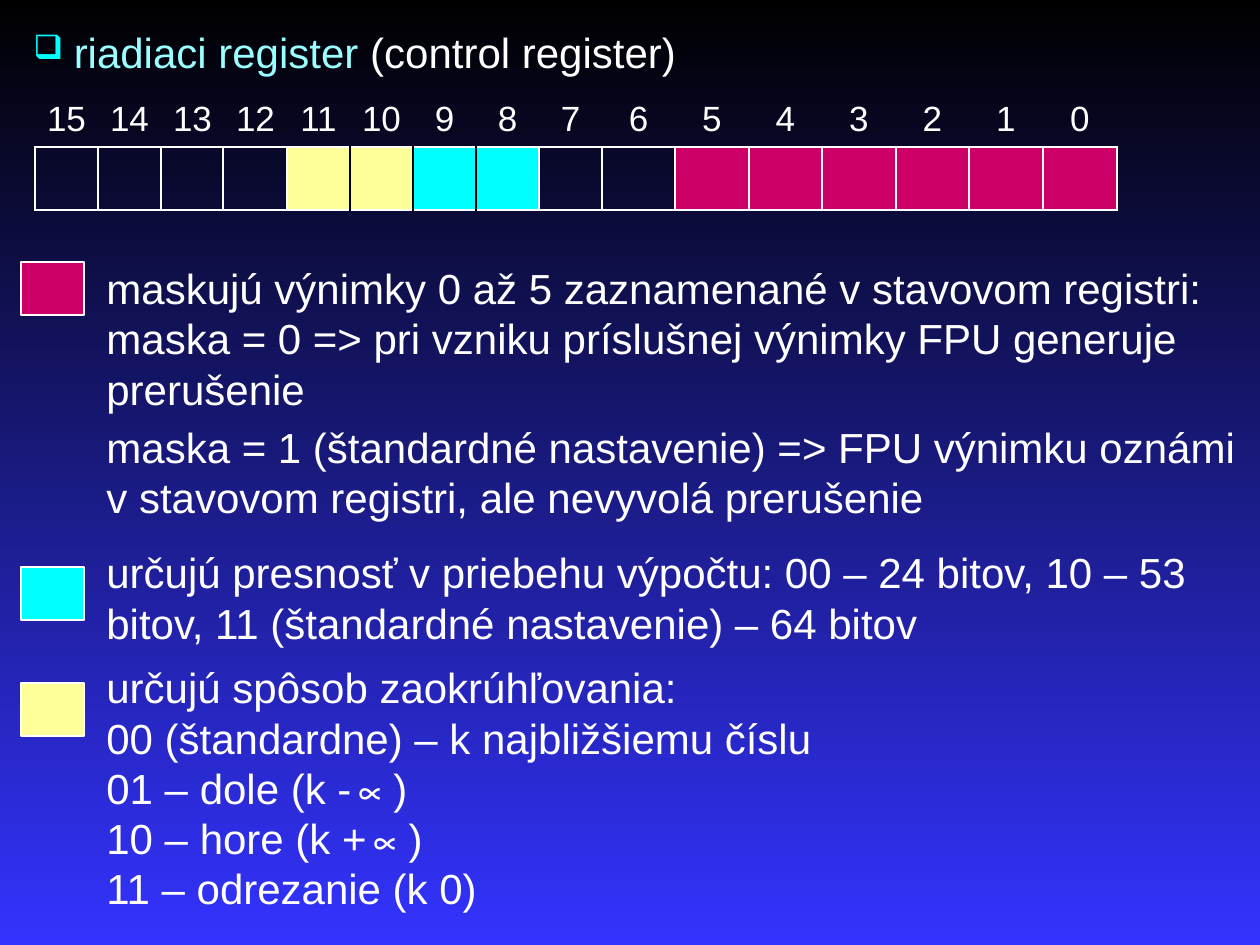
"""Build the slide that explains the FPU control register."""
import pptx
import pptx.dml.color
import pptx.enum.shapes
import pptx.enum.text
import pptx.oxml
import pptx.oxml.ns
import pptx.util

COLORS = {
    "white": "FFFFFF", "black": "000000", "blue": "3333FF", "pale": "99FFFF",
    "cyan": "00FFFF", "yellow": "FFFF99", "magenta": "CC0066",
}
EMU_PER_PX = 914400 / 126
NAMESPACE = pptx.oxml.ns.nsdecls("a")
FIELD_COLORS = {
    **dict.fromkeys((10, 11), "yellow"),
    **dict.fromkeys((8, 9), "cyan"),
    **dict.fromkeys(range(6), "magenta"),
}
BLACK_EDGES = {"L": (10, 9, 8), "R": (11, 10, 9)}
LEGEND = [
    ("yellow", 683, 651, 1166, 272, [
        "určujú spôsob zaokrúhľovania:",
        "00 (štandardne) – k najbližšiemu číslu",
        "01 – dole (k -∝)",
        "10 – hore (k +∝)",
        "11 – odrezanie (k 0)",
    ], 0),
    ("cyan", 567, 536, 1124, 118, [
        "určujú presnosť v priebehu výpočtu: 00 – 24 bitov, 10 – 53 bitov, "
        "11 (štandardné nastavenie) – 64 bitov",
    ], 0),
    ("magenta", 262, 252, 1166, 280, [
        "maskujú výnimky 0 až 5 zaznamenané v stavovom registri: "
        "maska = 0 => pri vzniku príslušnej výnimky FPU generuje prerušenie",
        "maska = 1 (štandardné nastavenie) => FPU výnimku oznámi "
        "v stavovom registri, ale nevyvolá prerušenie",
    ], 4.8),
]


def px(*lengths):
    """Turn pixel lengths into a list of EMU lengths."""
    return [pptx.util.Emu(round(length * EMU_PER_PX)) for length in lengths]


def rgb(name):
    """Return a named colour."""
    return pptx.dml.color.RGBColor.from_string(COLORS[name])


def add_span(para, text, color="white", size=24, font="Arial"):
    """Add one formatted run to a paragraph."""
    span = para.add_run()
    span.text = text
    span.font.size = pptx.util.Pt(size)
    span.font.name = font
    span.font.color.rgb = rgb(color)


def add_text(page, place, margins, paragraphs, gap=0):
    """Add a wrapping text box; each paragraph is a list of run arguments."""
    box = page.shapes.add_textbox(*px(*place))
    frame = box.text_frame
    frame.word_wrap = True
    frame.auto_size = pptx.enum.text.MSO_AUTO_SIZE.SHAPE_TO_FIT_TEXT
    frame.margin_top, frame.margin_bottom = px(*margins)
    for index, spans in enumerate(paragraphs):
        para = frame.add_paragraph() if index else frame.paragraphs[0]
        para.line_spacing = pptx.util.Pt(28.7)
        para.space_before = pptx.util.Pt(gap if index else 0)
        for span in spans:
            add_span(para, *span)
    return frame


def add_bullet(para):
    """Give a paragraph the hollow square bullet."""
    properties = para._p.get_or_add_pPr()
    for element in (
        f'<a:buClr {NAMESPACE}><a:srgbClr val="{COLORS["cyan"]}"/></a:buClr>',
        f'<a:buSzPct {NAMESPACE} val="80000"/>',
        f'<a:buChar {NAMESPACE} char="❑"/>',
    ):
        properties.append(pptx.oxml.parse_xml(element))


def style_cell(cell, borders, fill=None):
    """Set the borders by side, then the fill, of a table cell."""
    properties = cell._tc.get_or_add_tcPr()
    for side in "LRTB":
        color = borders.get(side)
        paint = (f'<a:solidFill><a:srgbClr val="{COLORS[color]}"/></a:solidFill>'
                 if color else "<a:noFill/>")
        properties.append(pptx.oxml.parse_xml(
            f'<a:ln{side} {NAMESPACE} w="12700">{paint}</a:ln{side}>'))
    if fill:
        cell.fill.solid()
        cell.fill.fore_color.rgb = rgb(fill)
    else:
        cell.fill.background()


def add_register(page):
    """Add the table of bit numbers and register fields."""
    widths = [63] * 9 + [73, 74] * 3 + [74]
    heights = [53, 63]
    place = px(35, 94, sum(widths), sum(heights))
    table = page.shapes.add_table(2, len(widths), *place).table
    table.first_row = table.horz_banding = False
    for row, height in zip(table.rows, px(*heights)):
        row.height = height
    for index, width in enumerate(px(*widths)):
        bit = len(widths) - 1 - index
        table.columns[index].width = width
        label, field = table.cell(0, index), table.cell(1, index)
        label.margin_left, label.margin_right, label.margin_top, label.margin_bottom = px(5, 5, 6, 0)
        para = label.text_frame.paragraphs[0]
        para.alignment = pptx.enum.text.PP_ALIGN.CENTER
        add_span(para, str(bit), size=20)
        style_cell(label, {"B": "white"})
        borders = {side: "black" if bit in BLACK_EDGES.get(side, ()) else "white"
                   for side in "LRTB"}
        style_cell(field, borders, FIELD_COLORS.get(bit))
    table.cell(1, 2).merge(table.cell(1, 3))


def add_divider(page):
    """Add the line that splits the merged field."""
    line = page.shapes.add_connector(
        pptx.enum.shapes.MSO_CONNECTOR.STRAIGHT, *px(223, 147, 223, 210))
    line.line.color.rgb = rgb("white")
    line.line.width = pptx.util.Pt(0.75)
    line._element.spPr.append(pptx.oxml.parse_xml(f"<a:effectLst {NAMESPACE}/>"))


def add_swatch(page, top, color):
    """Add a legend colour box."""
    swatch = page.shapes.add_shape(
        pptx.enum.shapes.MSO_SHAPE.RECTANGLE, *px(21, top, 63, 53))
    swatch.shadow.inherit = False
    swatch.fill.solid()
    swatch.fill.fore_color.rgb = rgb(color)
    swatch.line.color.rgb = rgb("white")
    swatch.line.width = pptx.util.Pt(0.75)


def set_background(page):
    """Fill the background from black at the top to blue."""
    fill = page.background.fill
    fill.gradient()
    fill.gradient_angle = 270
    for stop, position, color in zip(fill.gradient_stops, (0, 1), ("black", "blue")):
        stop.position = position
        stop.color.rgb = rgb(color)


def main():
    """Build and save the deck."""
    deck = pptx.Presentation()
    deck.slide_width, deck.slide_height = px(1260, 945)
    page = deck.slides.add_slide(deck.slide_layouts[6])
    set_background(page)
    title = add_text(page, (21, 21, 1071, 63), (6, 6), [[
        (" ", "cyan", 24, "Times New Roman"),
        ("riadiaci register ", "pale"),
        ("(control register)",),
    ]])
    add_bullet(title.paragraphs[0])
    add_register(page)
    add_divider(page)
    for color, swatch_top, top, width, height, texts, gap in LEGEND:
        add_swatch(page, swatch_top, color)
        add_text(page, (94, top, width, height), (11, 6),
                 [[(text,)] for text in texts], gap)
    deck.save("out.pptx")


if __name__ == "__main__":
    main()
